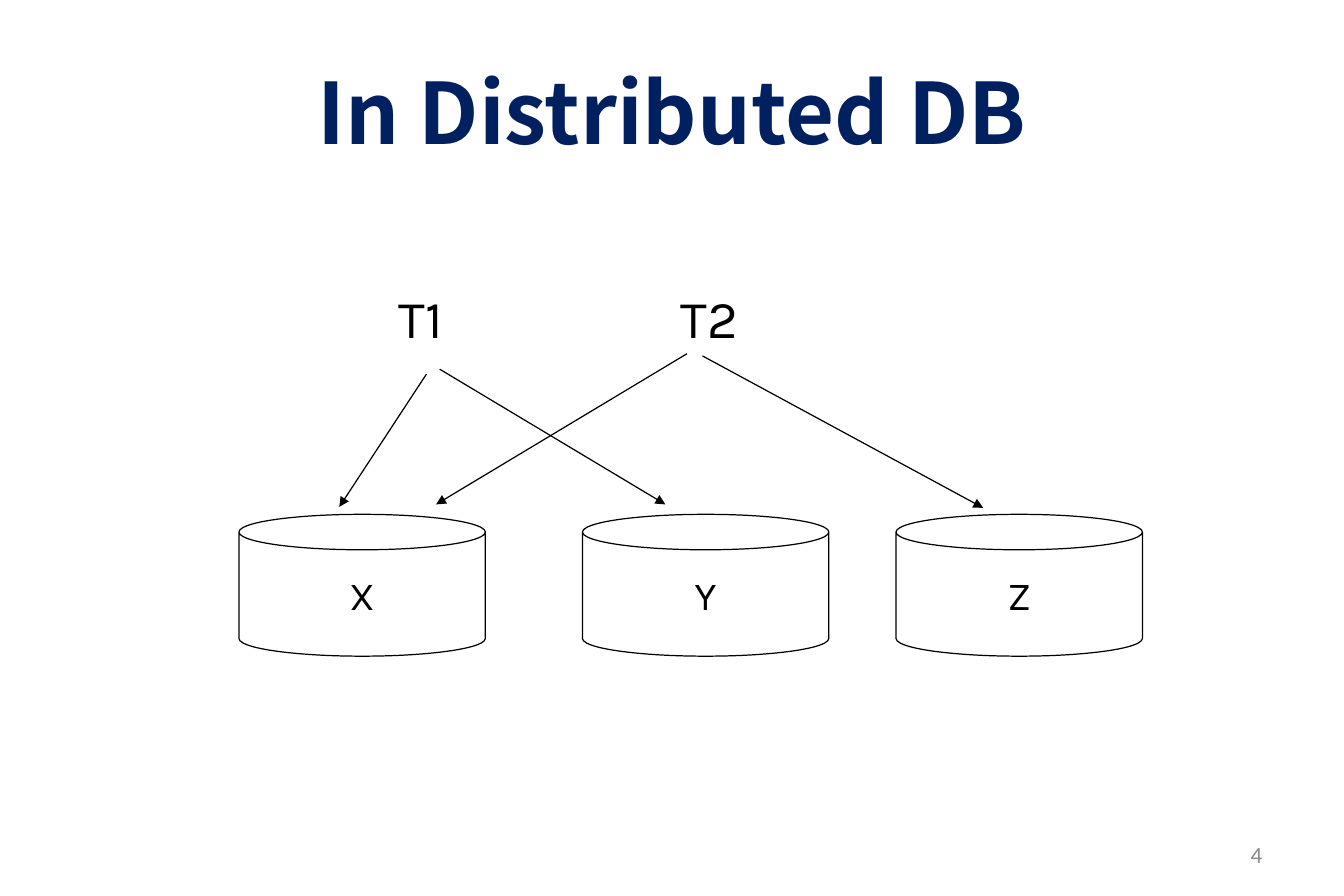
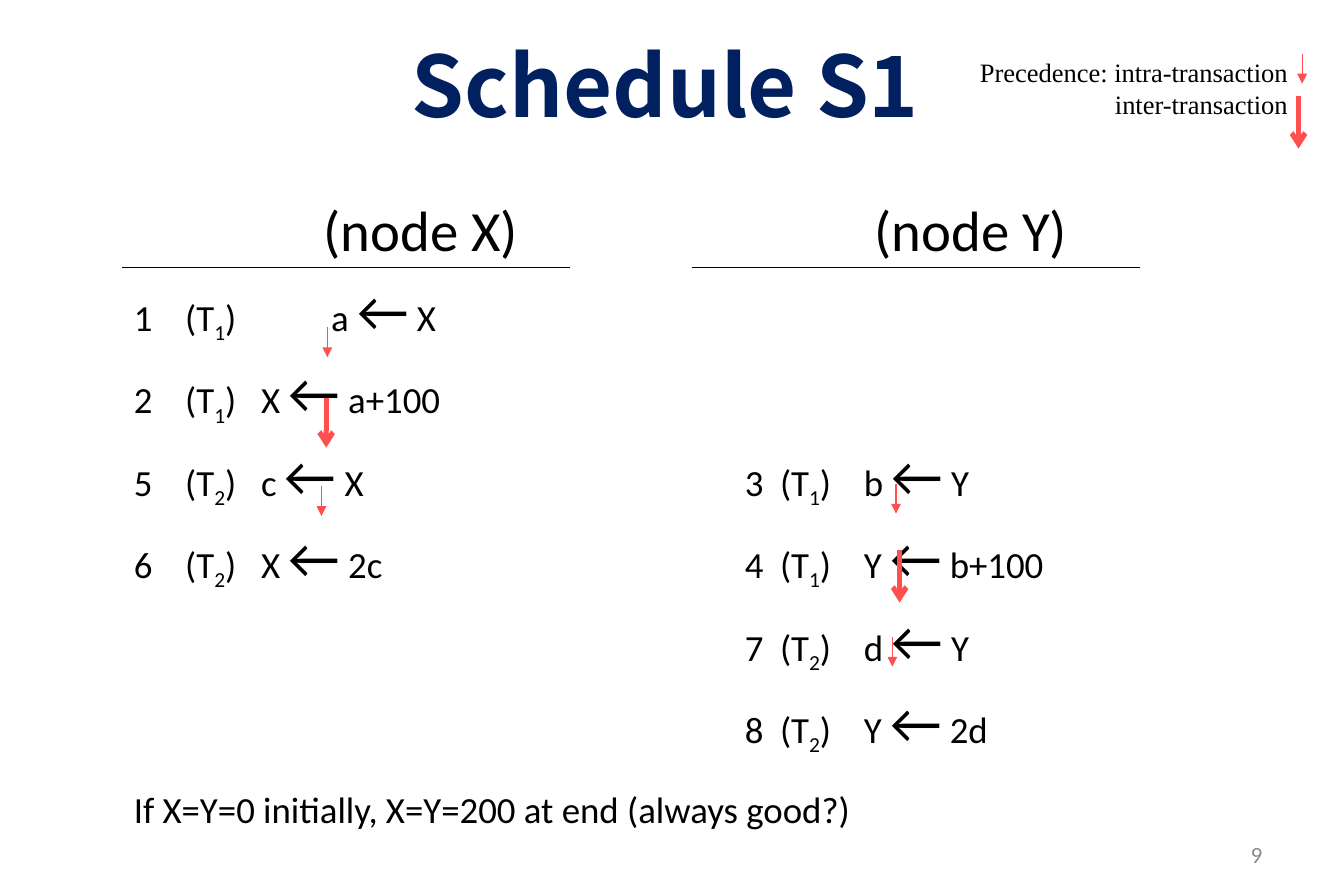
from pptx import Presentation
from pptx.dml.color import RGBColor
from pptx.enum.shapes import MSO_CONNECTOR, MSO_SHAPE
from pptx.enum.text import MSO_ANCHOR, MSO_AUTO_SIZE, PP_ALIGN
from pptx.oxml.ns import qn
from pptx.util import Pt
from lxml import etree

STRAIGHT = MSO_CONNECTOR.STRAIGHT
CAN = MSO_SHAPE.CAN
TOP, MIDDLE = MSO_ANCHOR.TOP, MSO_ANCHOR.MIDDLE
NO_AUTOFIT = MSO_AUTO_SIZE.NONE
LEFT, CENTER, RIGHT = PP_ALIGN.LEFT, PP_ALIGN.CENTER, PP_ALIGN.RIGHT

NAVY = RGBColor(0x00, 0x20, 0x60)
BLACK = RGBColor(0x00, 0x00, 0x00)
WHITE = RGBColor(0xFF, 0xFF, 0xFF)
GRAY = RGBColor(0x8C, 0x8C, 0x8C)
CORAL = RGBColor(0xFF, 0x50, 0x50)

TITLE_FONT = {"name": "Noto Sans CJK SC", "size": Pt(51), "bold": True}
NUMBER_FONT = {"name": "Calibri", "size": Pt(14)}
NODE_FONT = {"name": "Karla", "size": Pt(24)}
TRANSACTION_FONT = {"name": "Karla", "size": Pt(32)}
HEADING_FONT = {"name": "Calibri", "size": Pt(34.2)}
STEP_FONT = {"name": "Calibri", "size": Pt(22.2)}
LEGEND_FONT = {"name": "Times New Roman", "size": Pt(16)}

WIDE_INSETS = {"margin_left": Pt(8.64), "margin_right": Pt(8.64),
               "margin_top": Pt(4.32), "margin_bottom": Pt(4.32)}
THIN_ARROW = {"color": CORAL, "width": 0.75, "tail": "triangle"}
THICK_ARROW = {"color": CORAL, "width": 3, "tail": "arrow"}

NUMBER_BOX = (580.5, 500.4, 189, 28.8)

STEP_TABS = (31, 76.7)
FIRST_STEP_TABS = (31, 119)
RIGHT_TABS = (368.3, 389.5, 440)
HEADING_TABS = (114.5, 446.4)
SCHEDULE_ROWS = (
    (("1", "1", "a", "X"), None),
    (("2", "1", "X", "a+100"), None),
    (("5", "2", "c", "X"), ("3", "1", "b", "Y")),
    (("6", "2", "X", "2c"), ("4", "1", "Y", "b+100")),
    (None, ("7", "2", "d", "Y")),
    (None, ("8", "2", "Y", "2d")),
)


def set_values(target, values):
    for name, value in values.items():
        setattr(target, name, value)


def format_font(font, values, color=BLACK):
    set_values(font, values)
    font.color.rgb = color


def fill_text(shape, text, font, color=BLACK, align=LEFT, anchor=TOP, wrap=True, insets=None):
    frame = shape.text_frame
    frame.text = text
    set_values(frame, {"word_wrap": wrap, "auto_size": NO_AUTOFIT, "vertical_anchor": anchor})
    set_values(frame, insets or {})
    paragraph = frame.paragraphs[0]
    paragraph.alignment = align
    for run in paragraph.runs:
        format_font(run.font, font, color)


def add_text(slide, box, text, font, **options):
    shape = slide.shapes.add_textbox(*map(Pt, box))
    fill_text(shape, text, font, **options)


def add_line(slide, start, end, color=BLACK, width=0.75, tail=None):
    connector = slide.shapes.add_connector(STRAIGHT, *map(Pt, (*start, *end)))
    connector.line.color.rgb = color
    connector.line.width = Pt(width)
    if tail:
        line = connector.line._get_or_add_ln()
        etree.SubElement(line, qn("a:tailEnd"), type=tail)
    etree.SubElement(connector._element.spPr, qn("a:effectLst"))


def add_down_arrow(slide, left, top, length, style):
    add_line(slide, (left, top), (left, top + length), **style)


def add_titled_slide(presentation, title_text, title_box, number):
    slide = presentation.slides.add_slide(presentation.slide_layouts[5])
    title = slide.shapes.title
    set_values(title, dict(zip(("left", "top", "width", "height"), map(Pt, title_box))))
    fill_text(title, title_text, TITLE_FONT, color=NAVY, align=CENTER,
              anchor=MIDDLE, insets=WIDE_INSETS)
    add_text(slide, NUMBER_BOX, number, NUMBER_FONT, color=GRAY, align=RIGHT,
             anchor=MIDDLE, insets=WIDE_INSETS)
    return slide


def add_node(slide, box, name):
    shape = slide.shapes.add_shape(CAN, *map(Pt, box))
    shape.shadow.inherit = False
    shape.fill.solid()
    shape.fill.fore_color.rgb = WHITE
    shape.line.color.rgb = BLACK
    shape.line.width = Pt(0.75)
    fill_text(shape, name, NODE_FONT, align=CENTER, anchor=MIDDLE, wrap=False)


def add_node_diagram(slide, left, top):
    for name, offset in (("X", 0), ("Y", 207), ("Z", 396)):
        add_node(slide, (left + offset, top + 141.5, 148.5, 85.5), name)
    for name, offset in (("T1", 89.3), ("T2", 259.2)):
        add_text(slide, (left + offset, top, 51, 46), name, TRANSACTION_FONT, wrap=False)
    for start_x, start_y, end_x, end_y in (
        (121, 54, 257, 135.5),
        (113, 57, 60.5, 137),
        (270, 44.7, 118.8, 135.5),
        (279.4, 46, 448.6, 137.6),
    ):
        add_line(slide, (left + start_x, top + start_y), (left + end_x, top + end_y),
                 tail="triangle")


def add_tabs(paragraph, positions):
    tab_list = etree.SubElement(paragraph._p.get_or_add_pPr(), qn("a:tabLst"))
    for position in positions:
        etree.SubElement(tab_list, qn("a:tab"), pos=str(Pt(position)), algn="l")


def add_run(paragraph, text, font=STEP_FONT, subscript=False):
    run = paragraph.add_run()
    run.text = text
    format_font(run.font, font)
    if subscript:
        run._r.get_or_add_rPr().set("baseline", "-25000")


def add_step(paragraph, step, prefix=""):
    number, transaction, target, value = step
    add_run(paragraph, f"{prefix}{number}\t(T")
    add_run(paragraph, transaction, subscript=True)
    add_run(paragraph, f")\t{target} ")
    add_run(paragraph, "←", HEADING_FONT)
    add_run(paragraph, f" {value}")


def add_schedule_text(slide, box):
    shape = slide.shapes.add_textbox(*map(Pt, box))
    frame = shape.text_frame
    set_values(frame, {"word_wrap": True, "vertical_anchor": TOP, **WIDE_INSETS})
    heading = frame.paragraphs[0]
    add_tabs(heading, HEADING_TABS)
    add_run(heading, "\t(node X)\t(node Y)", HEADING_FONT)
    for index, (left_step, right_step) in enumerate(SCHEDULE_ROWS):
        paragraph = frame.add_paragraph()
        paragraph.space_before = Pt(7.3)
        left_tabs = FIRST_STEP_TABS if index == 0 else STEP_TABS
        add_tabs(paragraph, (left_tabs if left_step else ()) + (RIGHT_TABS if right_step else ()))
        if left_step:
            add_step(paragraph, left_step)
        if right_step:
            add_step(paragraph, right_step, prefix="\t")
    conclusion = frame.add_paragraph()
    set_values(conclusion, {"space_before": Pt(4.4), "line_spacing": 1.5})
    add_run(conclusion, "If X=Y=0 initially, X=Y=200 at end (always good?)")


def add_schedule(slide, box):
    left, top = box[:2]
    add_schedule_text(slide, box)
    for offset in (1.4, 344.9):
        add_line(slide, (left + offset, top + 48.3), (left + offset + 270, top + 48.3))
    for x, y in ((125.3, 84.3), (468, 178.6), (121.7, 180), (465.8, 270.8)):
        add_down_arrow(slide, left + x, top + y, 18, THIN_ARROW)
    for x, y, length in ((124.6, 126.8, 30), (470.2, 218.2, 32)):
        add_down_arrow(slide, left + x, top + y, length, THICK_ARROW)


def add_legend(slide, box):
    left, top, width, height = box
    add_text(slide, box, "Precedence: intra-transaction\vinter-transaction", LEGEND_FONT,
             align=RIGHT, anchor=MIDDLE, wrap=False)
    right = left + width
    add_down_arrow(slide, right + 1.5, top + 2.2, 18, THIN_ARROW)
    add_down_arrow(slide, right - 0.7, top + 27.4, 32, THICK_ARROW)


def main():
    presentation = Presentation()
    presentation.slide_width = Pt(810)
    presentation.slide_height = Pt(540)
    diagram_slide = add_titled_slide(presentation, "In Distributed DB",
                                     (40.5, 21.6, 729, 90), "4")
    add_node_diagram(diagram_slide, 144, 168.5)
    schedule_slide = add_titled_slide(presentation, "Schedule S1",
                                      (36.5, 17.5, 729, 66), "9")
    add_schedule(schedule_slide, (72, 113, 736, 384))
    add_legend(schedule_slide, (580.3, 30.2, 203, 46))
    presentation.save("out.pptx")


if __name__ == "__main__":
    main()
